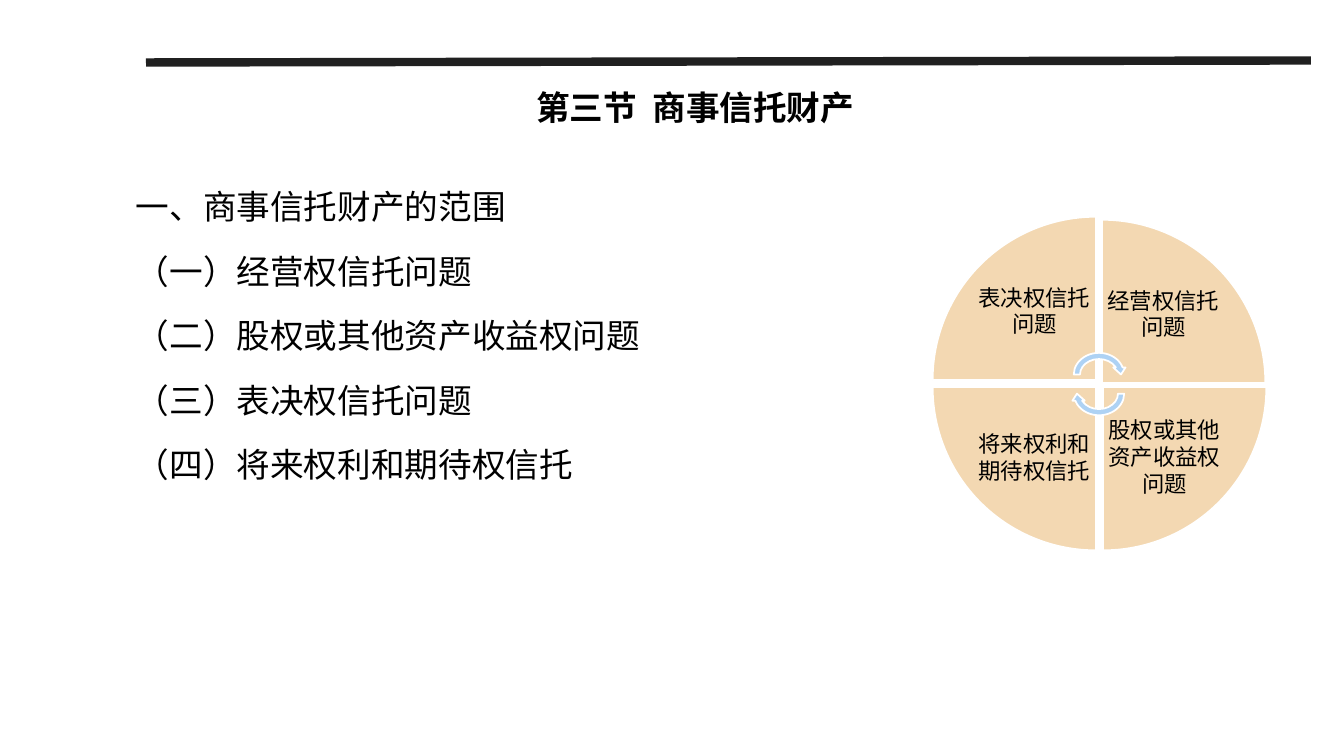
from pptx import Presentation
from pptx.dml.color import RGBColor
from pptx.enum.shapes import MSO_CONNECTOR, MSO_SHAPE
from pptx.enum.text import MSO_ANCHOR, PP_ALIGN
from pptx.oxml.ns import qn
from pptx.util import Inches, Pt
from lxml.etree import SubElement

FONT = "Noto Sans CJK SC"
BLACK = RGBColor(0x00, 0x00, 0x00)
WHITE = RGBColor(0xFF, 0xFF, 0xFF)
RULE = RGBColor(0x20, 0x20, 0x20)
SAND = RGBColor(0xF3, 0xD8, 0xB2)
SKY = RGBColor(0xAE, 0xD2, 0xF4)

TITLE = "第三节  商事信托财产"
OUTLINE = [
    "一、商事信托财产的范围",
    "（一）经营权信托问题",
    "（二）股权或其他资产收益权问题",
    "（三）表决权信托问题",
    "（四）将来权利和期待权信托",
]
WEDGE = 1.62
# Clockwise from the top left; each wedge turns a further 90 degrees.
WEDGES = [
    (9.25, 2.15, "表决权信托问题"),
    (10.93, 2.18, "经营权信托问题"),
    (10.94, 3.84, "股权或其他资产收益权问题"),
    (9.25, 3.84, "将来权利和期待权信托"),
]
# Label size, and its gaps from the wedge's two straight edges.
LABEL_W, LABEL_H = 1.14, 0.82
GAP_X, GAP_Y = 0.04, 0.28


def add_rule(s, start, end):
    """Draw the heavy line above the title."""
    line = s.shapes.add_connector(
        MSO_CONNECTOR.STRAIGHT, *map(Inches, start + end))
    line.line.color.rgb = RULE
    line.line.width = Pt(6)
    sp_pr = line._element.spPr
    sp_pr.find(qn("a:ln")).set("cap", "sq")
    SubElement(sp_pr, qn("a:effectLst"))


def add_text(s, box, lines, size, align=PP_ALIGN.LEFT, anchor=MSO_ANCHOR.TOP,
             bold=False, spacing=1.0, before=0, inset=None):
    """Add a wrapped text box with one paragraph per line."""
    sp = s.shapes.add_textbox(*map(Inches, box))
    tf = sp.text_frame
    tf.word_wrap = True
    tf.vertical_anchor = anchor
    if inset is not None:
        tf.margin_left = tf.margin_right = Inches(inset)
        tf.margin_top = tf.margin_bottom = Inches(inset)
    for i, text in enumerate(lines):
        p = tf.paragraphs[0] if i == 0 else tf.add_paragraph()
        p.alignment = align
        p.line_spacing = spacing
        p.space_before = Pt(before)
        r = p.add_run()
        r.text = text
        r.font.size = Pt(size)
        r.font.bold = bold
        r.font.name = FONT
        r.font.color.rgb = BLACK
        SubElement(r.font._element, qn("a:ea"), typeface=FONT)


def add_preset(s, kind, box, fill, rotation):
    """Add a filled preset shape with a thin white outline."""
    sp = s.shapes.add_shape(kind, *map(Inches, box))
    sp.rotation = rotation
    sp.shadow.inherit = False
    sp.fill.solid()
    sp.fill.fore_color.rgb = fill
    sp.line.color.rgb = WHITE
    sp.line.width = Pt(1.25)


def label_box(i, left, top):
    """Return the upright label area inside wedge i, clear of the arrows."""
    x = left + (GAP_X if i in (1, 2) else WEDGE - GAP_X - LABEL_W)
    y = top + (GAP_Y if i in (2, 3) else WEDGE - GAP_Y - LABEL_H)
    return x, y, LABEL_W, LABEL_H


def add_cycle(s):
    """Draw the four labelled wedges and the two arrows at the centre."""
    for i, (left, top, label) in enumerate(WEDGES):
        add_preset(s, MSO_SHAPE.PIE_WEDGE, (left, top, WEDGE, WEDGE),
                   SAND, 90 * i)
        add_text(s, label_box(i, left, top), [label], 16, PP_ALIGN.CENTER,
                 MSO_ANCHOR.MIDDLE, inset=0)
    for top, rotation in ((3.47, 0), (3.66, 180)):
        add_preset(s, MSO_SHAPE.CIRCULAR_ARROW, (10.62, top, 0.56, 0.49),
                   SKY, rotation)


def main():
    """Build the slide and save it."""
    prs = Presentation()
    prs.slide_width, prs.slide_height = Inches(13.33), Inches(7.5)
    s = prs.slides.add_slide(prs.slide_layouts[6])
    add_rule(s, (1.49, 0.62), (12.96, 0.6))
    add_text(s, (3.05, 0.33, 7.69, 1.37), [TITLE], 24, PP_ALIGN.CENTER,
             MSO_ANCHOR.MIDDLE, bold=True, spacing=1.25, before=10)
    add_text(s, (1.25, 1.7, 8.58, 3.66), OUTLINE, 24, spacing=1.25, before=10)
    add_cycle(s)
    prs.save("out.pptx")


main()
